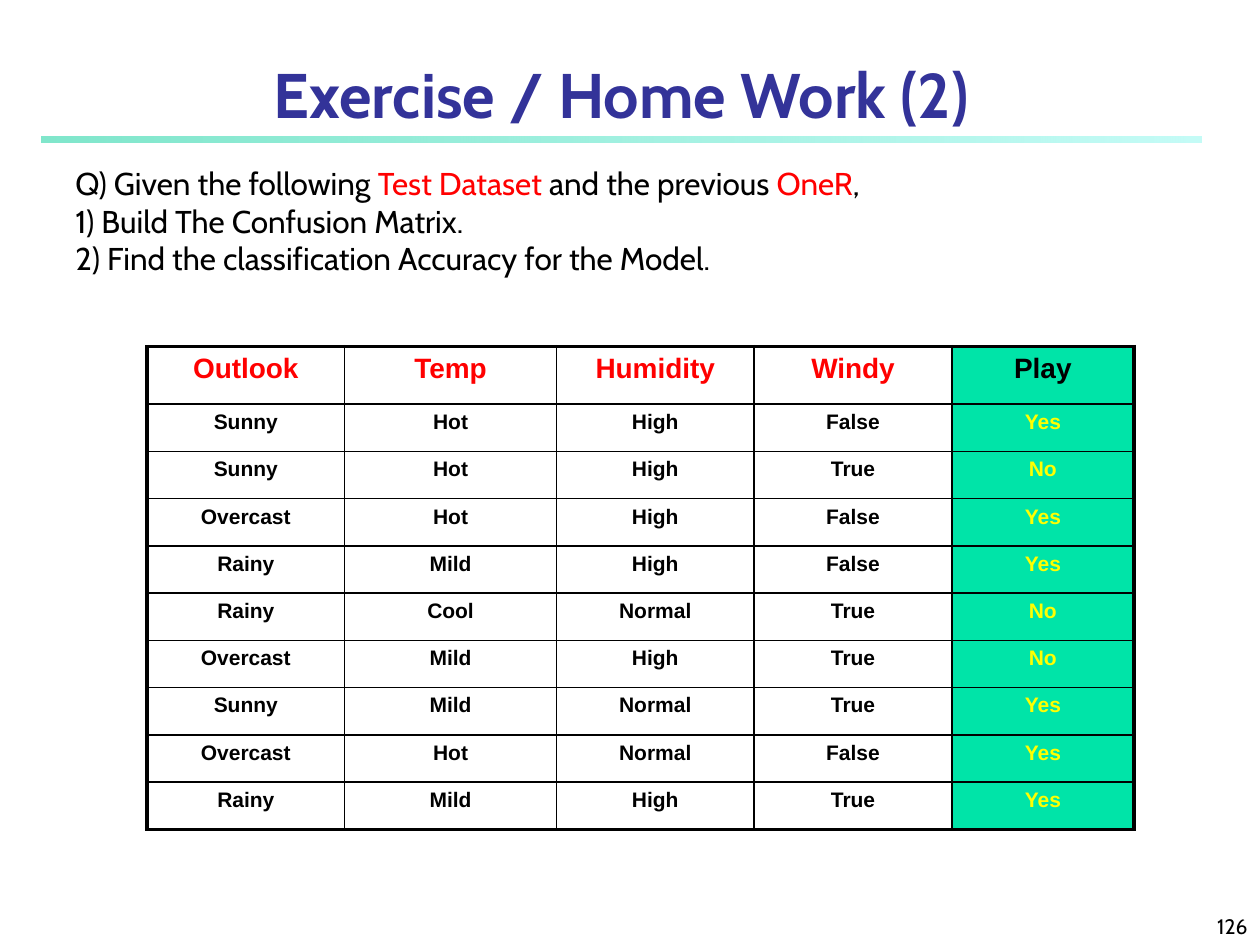
from dataclasses import dataclass

from lxml import etree
from pptx import Presentation
from pptx import util as u
from pptx.dml.color import RGBColor
from pptx.enum import shapes, text
from pptx.oxml.ns import qn


@dataclass(frozen=True)
class Theme:
    font: str = "Cabin"
    table_font: str = "Arial"
    title: str = "333399"
    ink: str = "000000"
    accent: str = "FF0000"
    answer: str = "FFFF00"
    play_fill: str = "00E4A8"
    bar: tuple = (("00CE98", 50), ("8FF9EF", 52))
    title_size: int = 36
    body_size: int = 18
    header_size: int = 16
    cell_size: int = 12
    number_size: int = 12
    inner_line: float = 1
    outer_line: float = 2.25


THEME = Theme()

QUESTION = [
    [("Q) Given the following ", THEME.ink), ("Test Dataset ", THEME.accent),
     ("and the previous ", THEME.ink), ("OneR", THEME.accent), (",", THEME.ink)],
    [("1) Build The Confusion Matrix.", THEME.ink)],
    [("2) Find the classification Accuracy for the Model.", THEME.ink)],
]
WEATHER = [
    ("Outlook", "Temp", "Humidity", "Windy", "Play"),
    ("Sunny", "Hot", "High", "False", "Yes"),
    ("Sunny", "Hot", "High", "True", "No"),
    ("Overcast", "Hot", "High", "False", "Yes"),
    ("Rainy", "Mild", "High", "False", "Yes"),
    ("Rainy", "Cool", "Normal", "True", "No"),
    ("Overcast", "Mild", "High", "True", "No"),
    ("Sunny", "Mild", "Normal", "True", "Yes"),
    ("Overcast", "Hot", "Normal", "False", "Yes"),
    ("Rainy", "Mild", "High", "True", "Yes"),
]
COLUMN_WIDTHS = (113, 121, 113, 113, 104)
HEADER_HEIGHT, ROW_HEIGHT = 33, 27


def style(font, name, size, color, bold=False):
    font.name, font.size, font.bold = name, u.Pt(size), bold
    font.color.rgb = RGBColor.from_string(color)


def add_text(page, area, lines, size, align=text.PP_ALIGN.LEFT,
             anchor=text.MSO_ANCHOR.TOP, bold=False):
    """Add a text box; each line is a list of (wording, colour) spans."""
    box = page.shapes.add_textbox(*map(u.Pt, area))
    frame = box.text_frame
    frame.word_wrap = True
    frame.vertical_anchor = anchor
    for index, line in enumerate(lines):
        para = frame.paragraphs[0] if index == 0 else frame.add_paragraph()
        para.alignment = align
        for wording, color in line:
            span = para.add_run()
            span.text = wording
            style(span.font, THEME.font, size, color, bold)


def add_title_bar(page):
    bar = page.shapes.add_shape(shapes.MSO_SHAPE.RECTANGLE,
                                *map(u.Pt, (24, 77.8, 662.4, 3.8)))
    bar.shadow.inherit = False
    bar.line.fill.background()
    bar.fill.gradient()
    bar.fill.gradient_angle = 0
    for stop, (color, _) in zip(bar.fill.gradient_stops, THEME.bar):
        stop.color.rgb = RGBColor.from_string(color)
    for node, (_, opacity) in zip(bar.element.spPr.iter(qn("a:srgbClr")), THEME.bar):
        etree.SubElement(node, qn("a:alpha"), val=str(opacity * 1000))


def set_borders(cell, outer_sides):
    """Draw all four borders, with the heavy line on the outer sides."""
    properties = cell._tc.get_or_add_tcPr()
    for position, side in enumerate("LRTB"):
        width = THEME.outer_line if side in outer_sides else THEME.inner_line
        line = etree.Element(qn(f"a:ln{side}"), w=str(int(u.Pt(width))))
        fill = etree.SubElement(line, qn("a:solidFill"))
        etree.SubElement(fill, qn("a:srgbClr"), val=THEME.ink)
        properties.insert(position, line)


def fill_cell(cell, wording, is_header, is_play):
    if is_play:
        cell.fill.solid()
        cell.fill.fore_color.rgb = RGBColor.from_string(THEME.play_fill)
    else:
        cell.fill.background()
    cell.text_frame.text = wording
    para = cell.text_frame.paragraphs[0]
    para.alignment = text.PP_ALIGN.CENTER
    if is_header:
        size, color = THEME.header_size, THEME.ink if is_play else THEME.accent
    else:
        size, color = THEME.cell_size, THEME.answer if is_play else THEME.ink
    style(para.runs[0].font, THEME.table_font, size, color, True)


def add_weather_table(page):
    last_row, last_column = len(WEATHER) - 1, len(COLUMN_WIDTHS) - 1
    height = HEADER_HEIGHT + ROW_HEIGHT * last_row
    area = (84, 198, sum(COLUMN_WIDTHS), height)
    table = page.shapes.add_table(len(WEATHER), len(COLUMN_WIDTHS),
                                  *map(u.Pt, area)).table
    table.first_row = table.horz_banding = False
    for column, width in zip(table.columns, COLUMN_WIDTHS):
        column.width = u.Pt(width)
    for r, record in enumerate(WEATHER):
        table.rows[r].height = u.Pt(ROW_HEIGHT if r else HEADER_HEIGHT)
        for c, wording in enumerate(record):
            cell = table.cell(r, c)
            fill_cell(cell, wording, r == 0, c == last_column)
            edges = {"L": c == 0, "R": c == last_column,
                     "T": r == 0, "B": r == last_row}
            set_borders(cell, [side for side, outer in edges.items() if outer])


def main():
    deck = Presentation()
    deck.slide_width, deck.slide_height = u.Pt(720), u.Pt(540)
    page = deck.slides.add_slide(deck.slide_layouts[6])
    add_title_bar(page)
    add_text(page, (24, 30, 662, 48.5), [[("Exercise / Home Work (2)", THEME.title)]],
             THEME.title_size, text.PP_ALIGN.CENTER, text.MSO_ANCHOR.BOTTOM, True)
    add_text(page, (570, 510, 150, 30), [[("126", THEME.ink)]],
             THEME.number_size, text.PP_ALIGN.RIGHT, text.MSO_ANCHOR.BOTTOM)
    add_text(page, (36, 90, 648, 72.7), QUESTION, THEME.body_size)
    add_weather_table(page)
    deck.save("out.pptx")


if __name__ == "__main__":
    main()
